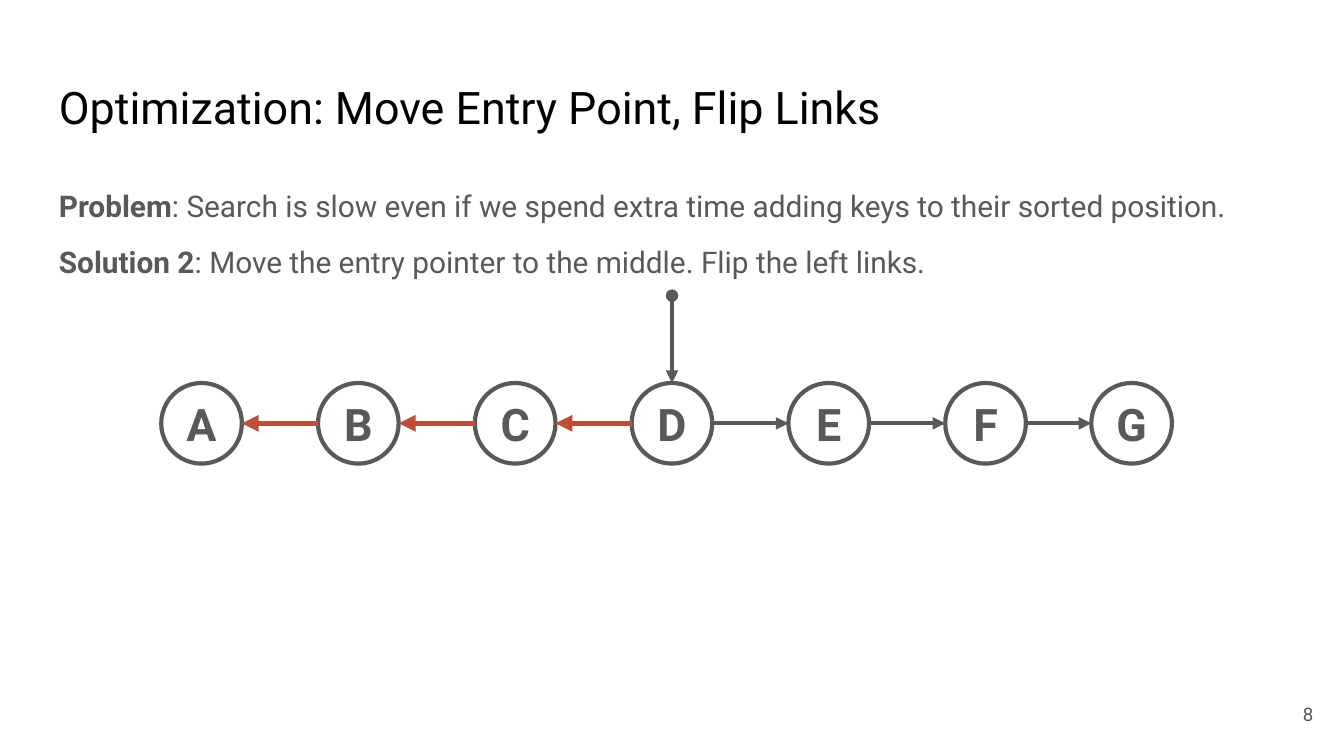
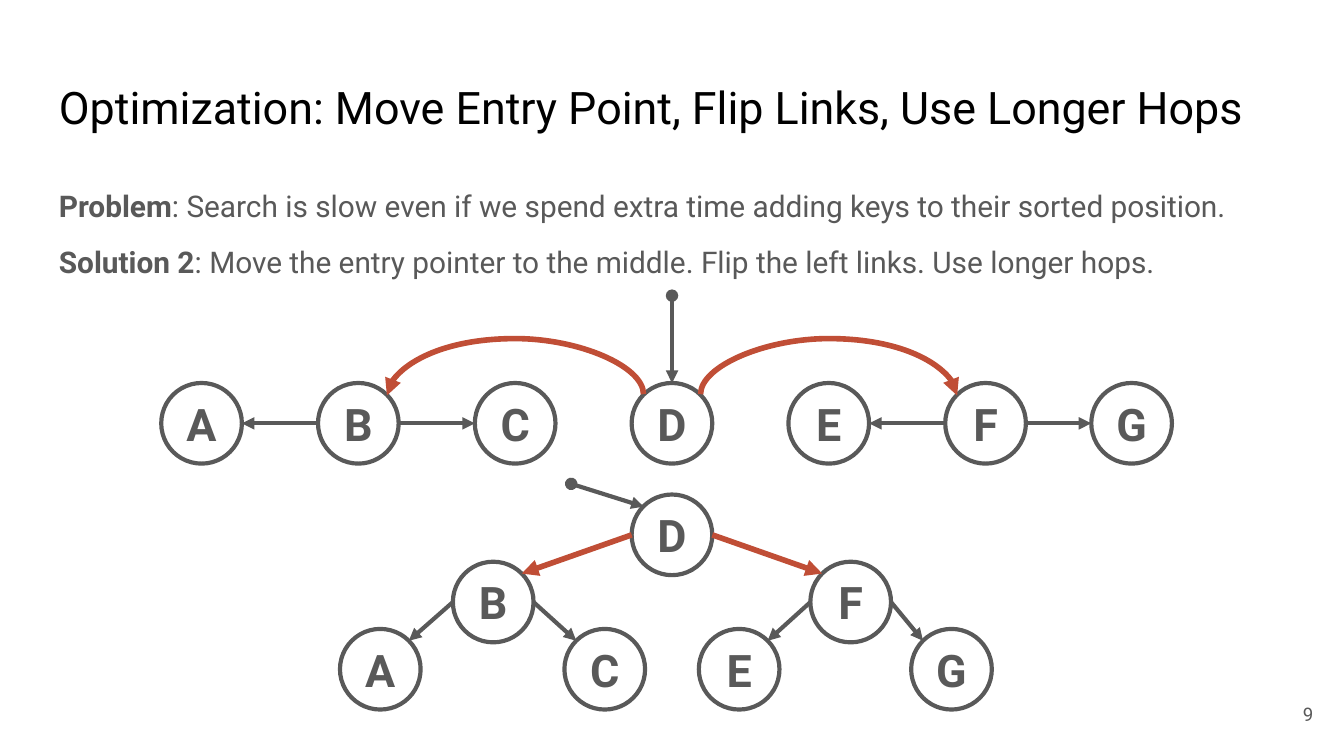
from lxml import etree
from pptx import Presentation
from pptx import util as u
from pptx.dml.color import RGBColor
from pptx.enum import shapes, text
from pptx.oxml.ns import qn

COLORS = {"title": "000000", "ink": "595959", "accent": "C04E36", "paper": "FFFFFF"}
FONT = "Roboto"
SLIDE_WIDTH = 10
SLIDE_HEIGHT = SLIDE_WIDTH * 9 / 16
SIZE = 0.6
RADIUS = SIZE / 2
DIAGONAL = RADIUS * 0.5 ** 0.5
ROW_TOP = 2.85
PLAIN = {"color": "ink", "width": 2.25}
STRONG = {"color": "accent", "width": 3}
PROBLEM = ("Problem", ": Search is slow even if we spend extra time "
           "adding keys to their sorted position.")

ROW = {key: (1.2 + i * 7 / 6 + RADIUS, ROW_TOP + RADIUS) for i, key in enumerate("ABCDEF")}
ROW["G"] = (8.12 + RADIUS, ROW_TOP + RADIUS)
TREE_LEFTS = {"A": 2.53, "B": 3.37, "C": 4.2, "D": 4.7, "E": 5.2, "F": 6.03, "G": 6.78}
TREE_TOPS = {"D": 3.68, "B": 4.18, "F": 4.18}
TREE = {key: (left + RADIUS, TREE_TOPS.get(key, 4.68) + RADIUS)
        for key, left in TREE_LEFTS.items()}


def rgb(name):
    return RGBColor.from_string(COLORS[name])


def set_all(obj, **values):
    for name, value in values.items():
        setattr(obj, name, value)


def style_frame(tf, anchor):
    inset = u.Inches(0.1)
    set_all(tf, word_wrap=True, vertical_anchor=anchor, margin_left=inset,
            margin_right=inset, margin_top=inset, margin_bottom=inset)


def add_run(p, words, size, color="ink", bold=False):
    r = p.add_run()
    r.text = words
    set_all(r.font, name=FONT, size=u.Pt(size), bold=bold)
    r.font.color.rgb = rgb(color)


def add_box(s, box, anchor=text.MSO_ANCHOR.TOP):
    tf = s.shapes.add_textbox(*map(u.Inches, box)).text_frame
    style_frame(tf, anchor)
    return tf


def add_page(prs, title, solution, number):
    s = prs.slides.add_slide(prs.slide_layouts[6])
    s.background.fill.solid()
    s.background.fill.fore_color.rgb = rgb("paper")
    tf = add_box(s, (0.34, 0.49, 9.32, 0.63))
    add_run(tf.paragraphs[0], title, 24, "title")

    tf = add_box(s, (0.34, 1.26, 9.32, 0.9))
    for i, (label, words) in enumerate((PROBLEM, ("Solution 2", solution))):
        p = tf.add_paragraph() if i else tf.paragraphs[0]
        p.line_spacing = 1.15
        if i:
            set_all(p, space_before=u.Pt(8), space_after=u.Pt(8))
        add_run(p, label, 16, bold=True)
        add_run(p, words, 16)

    tf = add_box(s, (9.27, 5.1, 0.6, 0.43), text.MSO_ANCHOR.MIDDLE)
    tf.paragraphs[0].alignment = text.PP_ALIGN.RIGHT
    add_run(tf.paragraphs[0], str(number), 10)
    return s


def add_node(s, key, center):
    x, y = center
    sp = s.shapes.add_shape(shapes.MSO_SHAPE.OVAL, u.Inches(x - RADIUS),
                            u.Inches(y - RADIUS), u.Inches(SIZE), u.Inches(SIZE))
    sp.shadow.inherit = False
    sp.fill.solid()
    sp.fill.fore_color.rgb = rgb("paper")
    sp.line.color.rgb = rgb("ink")
    sp.line.width = u.Pt(2.25)
    style_frame(sp.text_frame, text.MSO_ANCHOR.MIDDLE)
    p = sp.text_frame.paragraphs[0]
    p.alignment = text.PP_ALIGN.CENTER
    add_run(p, key, 24, bold=True)


def add_arrow(s, start, end, color, width, oval=False,
              kind=shapes.MSO_CONNECTOR.STRAIGHT):
    cxn = s.shapes.add_connector(kind, *map(u.Inches, (*start, *end)))
    cxn.line.color.rgb = rgb(color)
    cxn.line.width = u.Pt(width)
    ln = cxn.line._get_or_add_ln()
    if oval:
        etree.SubElement(ln, qn("a:headEnd"), type="oval")
    etree.SubElement(ln, qn("a:tailEnd"), type="triangle")
    etree.SubElement(cxn._element.spPr, qn("a:effectLst"))
    return cxn


def add_link(s, nodes, pair, style):
    (x1, y1), (x2, y2) = nodes[pair[0]], nodes[pair[1]]
    side = 1 if x2 > x1 else -1
    if y1 == y2:
        end = (x2 - side * RADIUS, y2)
    else:
        end = (x2 - side * DIAGONAL, y2 - DIAGONAL)
    add_arrow(s, (x1 + side * RADIUS, y1), end, **style)


def add_hop(s, pair):
    (x1, y), (x2, _) = ROW[pair[0]], ROW[pair[1]]
    side = 1 if x2 > x1 else -1
    mid_x, mid_y = (x1 + x2) / 2, y - DIAGONAL
    half = abs(x2 - x1) / 2 - DIAGONAL
    depth, rise = 0.01, 0.42
    skew = side * depth / 2
    cxn = add_arrow(s, (mid_x + skew, mid_y - half), (mid_x - skew, mid_y + half),
                    kind=shapes.MSO_CONNECTOR.CURVE, **STRONG)
    spPr = cxn._element.spPr
    spPr.find(qn("a:xfrm")).set("rot", str((270 if side > 0 else 90) * 60000))
    geom = spPr.find(qn("a:prstGeom"))
    av = geom.find(qn("a:avLst"))
    if av is None:
        av = etree.SubElement(geom, qn("a:avLst"))
    etree.SubElement(av, qn("a:gd"), name="adj1",
                     fmla=f"val {round(-rise / depth * 100000)}")


def add_graph(s, nodes, links, entry_start, entry_end):
    for key, center in nodes.items():
        add_node(s, key, center)
    for pairs, style in links:
        for pair in pairs.split():
            add_link(s, nodes, pair, style)
    add_arrow(s, entry_start, entry_end, oval=True, **PLAIN)


def main():
    prs = Presentation()
    set_all(prs, slide_width=u.Inches(SLIDE_WIDTH), slide_height=u.Inches(SLIDE_HEIGHT))
    title = "Optimization: Move Entry Point, Flip Links"
    solution = ": Move the entry pointer to the middle. Flip the left links."
    row_entry = ((5, 2.2), (5, ROW_TOP))

    s = add_page(prs, title, solution, 8)
    add_graph(s, ROW, [("BA CB DC", STRONG), ("DE EF FG", PLAIN)], *row_entry)

    s = add_page(prs, title + ", Use Longer Hops", solution + " Use longer hops.", 9)
    leaf_links = ("BA BC FE FG", PLAIN)
    add_graph(s, ROW, [leaf_links], *row_entry)
    for pair in ("DB", "DF"):
        add_hop(s, pair)
    add_graph(s, TREE, [leaf_links, ("DB DF", STRONG)], (4.25, 3.6), (4.79, 3.77))
    prs.save("out.pptx")


if __name__ == "__main__":
    main()
